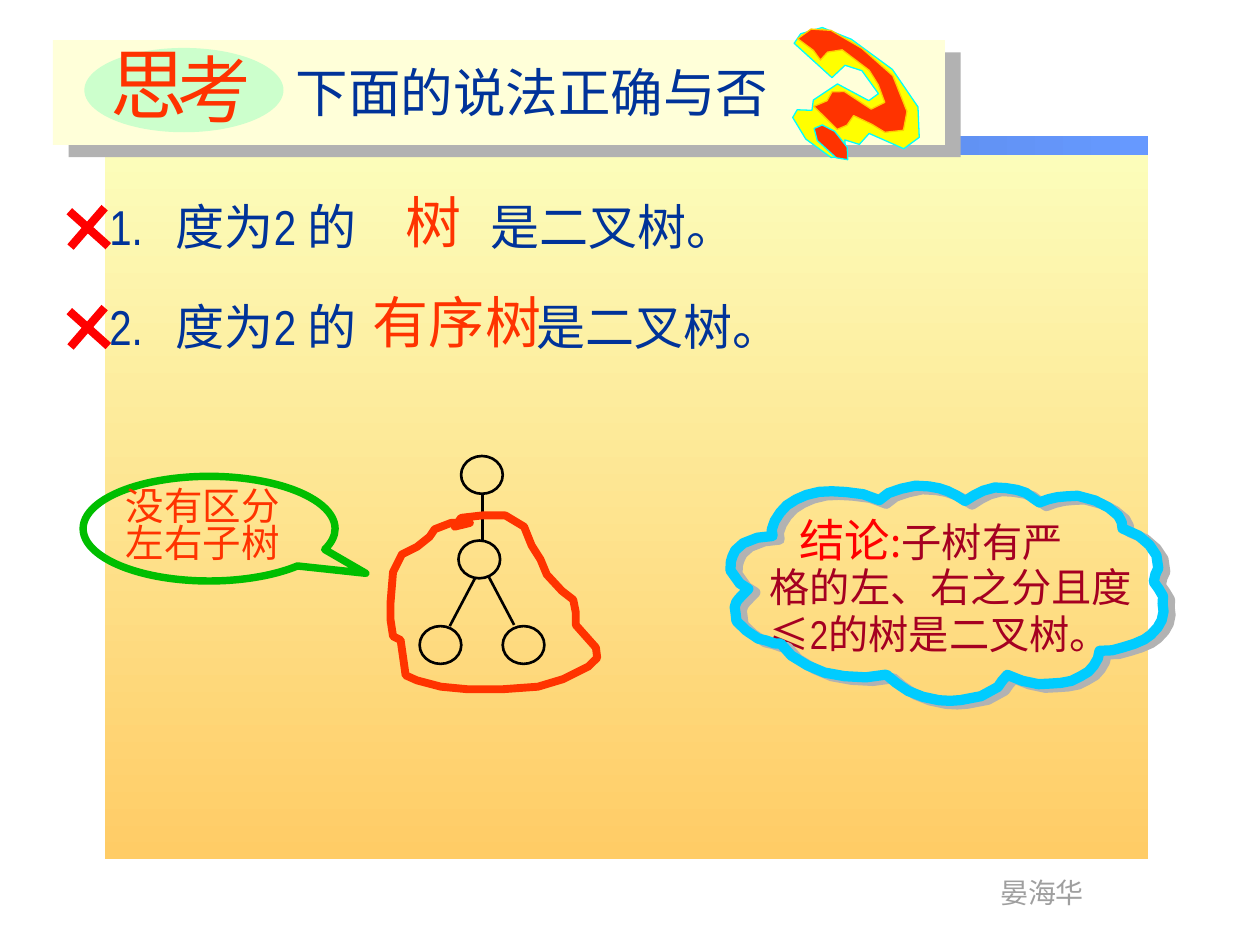
from lxml.etree import SubElement
from pptx import Presentation
from pptx.dml.color import RGBColor
from pptx.enum.shapes import MSO_CONNECTOR, MSO_SHAPE
from pptx.enum.text import MSO_ANCHOR, MSO_AUTO_SIZE, PP_ALIGN
from pptx.oxml.ns import qn
from pptx.util import Pt

SANS, NARROW = "Noto Sans CJK SC", "Arial Narrow"
RED, ORANGE, BLUE, MAROON, CYAN = "FF0000", "FF3300", "003399", "A50021", "00FFFF"
UNIT = 0.72  # outline points are hundredths of an inch

MARK_EDGE = [
    (660, 56), (674, 55), (693, 67), (688, 75), (660, 72), (647, 91), (649, 99), (638, 103),
    (637, 110), (653, 122), (677, 128), (688, 123), (682, 111), (694, 110), (698, 99),
    (728, 100), (736, 87), (726, 65), (696, 45), (657, 35), (632, 35), (618, 46), (616, 55),
    (654, 69)]
MARK_HOOK = [
    (622, 49), (637, 53), (645, 58), (648, 50), (658, 44), (684, 51), (695, 59), (705, 70),
    (697, 79), (672, 74), (663, 78), (662, 86), (654, 94), (678, 104), (684, 98), (686, 89),
    (702, 90), (714, 92), (727, 85), (724, 70), (703, 48), (672, 37), (644, 33), (629, 38)]
MARK_DOT = [
    (659, 104), (648, 103), (643, 108), (649, 116), (668, 123), (677, 121), (673, 112)]
SUBTREE_LOOP = [
    (373, 415), (358, 415), (345, 420), (341, 426), (331, 434), (319, 440), (312, 454),
    (310, 478), (310, 492), (312, 505), (318, 508), (320, 522), (322, 536), (331, 540),
    (350, 545), (371, 547), (399, 547), (427, 545), (447, 539), (467, 529), (474, 522),
    (473, 514), (457, 496), (457, 486), (455, 476), (446, 469), (434, 456), (429, 444),
    (422, 433), (416, 418), (401, 409), (383, 409), (366, 411), (361, 418)]
CLOUD = [
    (611, 433), (599, 435), (588, 440), (582, 446), (580, 451), (579, 455), (579, 462),
    (583, 467), (587, 472), (594, 476), (587, 484), (585, 487), (584, 491), (585, 496),
    (586, 502), (594, 509), (604, 515), (610, 516), (617, 518), (622, 518), (631, 527),
    (644, 534), (658, 539), (674, 541), (691, 541), (707, 538), (715, 544), (725, 550),
    (737, 554), (750, 556), (759, 556), (767, 555), (783, 551), (796, 543), (799, 538),
    (803, 533), (815, 537), (828, 539), (838, 538), (846, 537), (854, 535), (861, 531),
    (867, 527), (871, 522), (874, 516), (875, 510), (885, 509), (894, 506), (902, 503),
    (910, 499), (915, 495), (920, 489), (923, 483), (924, 476), (923, 470), (923, 464),
    (919, 458), (915, 453), (916, 447), (918, 442), (916, 432), (910, 424), (901, 417),
    (888, 412), (887, 407), (884, 402), (876, 396), (865, 391), (851, 388), (842, 389),
    (835, 390), (828, 392), (821, 395), (816, 392), (810, 388), (803, 386), (794, 385),
    (785, 385), (776, 388), (769, 392), (762, 397), (755, 393), (748, 390), (741, 388),
    (733, 387), (722, 387), (711, 390), (701, 394), (694, 400), (681, 396), (667, 395),
    (656, 395), (646, 396), (636, 399), (628, 403), (621, 408), (616, 414), (612, 421),
    (610, 428)]


def rgb(color):
    return RGBColor.from_string(color)


def add_shadow(effects, color, dist, angle):
    shadow = SubElement(effects, qn("a:outerShdw"), blurRad="0", dist=str(Pt(dist)),
                        dir=str(angle * 60000), algn="ctr", rotWithShape="0")
    SubElement(shadow, qn("a:srgbClr"), val=color)


def style(sp, fill=None, line=None, width=0.75, gradient=None, shadow=None):
    sp.shadow.inherit = False
    if gradient:
        *colors, angle = gradient
        sp.fill.gradient()
        sp.fill.gradient_angle = angle
        for stop, color in zip(sp.fill.gradient_stops, colors):
            stop.color.rgb = rgb(color)
    elif fill:
        sp.fill.solid()
        sp.fill.fore_color.rgb = rgb(fill)
    else:
        sp.fill.background()
    if line:
        sp.line.color.rgb = rgb(line)
        sp.line.width = Pt(width)
    else:
        sp.line.fill.background()
    if shadow:
        add_shadow(sp._element.spPr.find(qn("a:effectLst")), *shadow)


def add_box(s, x, y, w, h, kind=MSO_SHAPE.RECTANGLE, **look):
    sp = s.shapes.add_shape(kind, Pt(x), Pt(y), Pt(w), Pt(h))
    style(sp, **look)
    return sp


def add_outline(s, points, rotation=0, **look):
    builder = s.shapes.build_freeform(*points[0], scale=Pt(UNIT))
    builder.add_line_segments(points[1:], close=True)
    sp = builder.convert_to_shape()
    sp.rotation = rotation
    style(sp, **look)


def add_line(s, x1, y1, x2, y2, color="000000", width=1.5):
    line = s.shapes.add_connector(MSO_CONNECTOR.STRAIGHT, Pt(x1), Pt(y1), Pt(x2), Pt(y2))
    line.line.color.rgb = rgb(color)
    line.line.width = Pt(width)
    SubElement(line._element.spPr, qn("a:effectLst"))


def add_run(p, text, size=28, color=BLUE, font=SANS, shadow=False):
    r = p.add_run()
    r.text = text
    r.font.size = Pt(size)
    r.font.color.rgb = rgb(color)
    r.font.name = font
    props = r.font._element
    SubElement(props, qn("a:ea"), typeface=SANS)
    if shadow:
        effects = props.makeelement(qn("a:effectLst"))
        props.find(qn("a:solidFill")).addnext(effects)
        add_shadow(effects, "000000", 2, 45)


def add_frame(s, x, y, w, h, wrap=True, anchor=MSO_ANCHOR.TOP):
    tb = s.shapes.add_textbox(Pt(x), Pt(y), Pt(w), Pt(h))
    tf = tb.text_frame
    tf.word_wrap = wrap
    tf.auto_size = MSO_AUTO_SIZE.SHAPE_TO_FIT_TEXT
    tf.vertical_anchor = anchor
    return tf


def add_text(s, text, x, y, w, h, wrap=False, align=PP_ALIGN.LEFT, spacing=1.0, **format):
    p = add_frame(s, x, y, w, h, wrap).paragraphs[0]
    p.alignment = align
    p.line_spacing = spacing
    add_run(p, text, **format)


def add_statement(s, y, number, gap_end, key, key_x, key_w):
    """One crossed-out claim, its key word set larger in the gap."""
    tf = add_frame(s, 62.5, y, 420, 41)
    tf.margin_left = 0
    p = tf.paragraphs[0]
    tabs = SubElement(p._p.get_or_add_pPr(), qn("a:tabLst"))
    for stop in (38, gap_end):
        SubElement(tabs, qn("a:tab"), pos=str(Pt(stop)), algn="l")
    add_run(p, f"{number}.\t", font=NARROW)
    add_run(p, "度为")
    add_run(p, "2 ", font=NARROW)
    add_run(p, "的\t是二叉树。")
    add_text(s, key, key_x, y - 5, key_w, 45, align=PP_ALIGN.CENTER, size=32, color=ORANGE)
    add_line(s, 39.6, y + 12, 61.9, y + 32, RED, 4.75)
    add_line(s, 40.3, y + 32.5, 59.8, y + 10, RED, 4.75)


def add_title(s):
    add_box(s, 30.2, 23, 509.8, 59.8, fill="FFFFD9", shadow=("B2B2B2", 11.4, 38))
    add_text(s, "下面的说法正确与否", 162, 31, 347.8, 43, wrap=True, size=30)
    add_outline(s, MARK_EDGE, 22, fill="FFFF00", line=CYAN)
    add_outline(s, MARK_HOOK, 22, fill=ORANGE, line="FFCC00")
    add_outline(s, MARK_DOT, 22, fill=ORANGE, line=CYAN)
    add_box(s, 48.2, 27.4, 113.8, 48.2, MSO_SHAPE.OVAL, fill="CCFFCC")
    add_text(s, "思", 56.2, 25.2, 58.3, 51.8, spacing=0.85, size=44, color=ORANGE, font=NARROW)
    add_text(s, "考", 94.3, 21.6, 56.2, 57.6, size=42, color=ORANGE, font=NARROW, shadow=True)


def add_tree(s):
    for x, y in ((263.5, 260.6), (262, 308.9), (239.8, 357.8), (287.3, 357.8)):
        add_box(s, x, y, 23.8, 21.6, MSO_SHAPE.OVAL, line="000000", width=1.5)
    add_line(s, 275.8, 282.2, 275.8, 308.9)
    add_line(s, 271.4, 330.5, 257, 357.8)
    add_line(s, 279.4, 329.8, 293.8, 357.1)
    add_outline(s, SUBTREE_LOOP, line=ORANGE, width=4.5)


def add_callout(s):
    sp = add_box(s, 47.5, 272.2, 144, 59.8, MSO_SHAPE.OVAL_CALLOUT, line="00BE00", width=4.25)
    sp.adjustments[0], sp.adjustments[1] = 0.622, 0.427
    add_text(s, "没有区分左右子树", 64.8, 277.2, 120.2, 49.7, wrap=True, spacing=0.8,
             size=22, color=ORANGE, font=NARROW, shadow=True)


def add_conclusion(s):
    tf = add_frame(s, 432.7, 292.3, 232.6, 87.8, anchor=MSO_ANCHOR.MIDDLE)
    lines = [
        [("结论", 26, RED, SANS), (":", 23, RED, SANS), ("子树有严", 23, MAROON, SANS)],
        [("格的左、右之分且度", 23, MAROON, SANS)],
        [("≤", 23, MAROON, SANS), ("2", 23, MAROON, NARROW), ("的树是二叉树。", 23, MAROON, SANS)],
    ]
    for i, runs in enumerate(lines):
        p = tf.add_paragraph() if i else tf.paragraphs[0]
        p.line_spacing = 0.9
        for run in runs:
            add_run(p, *run)
    tf.paragraphs[0]._p.get_or_add_pPr().set("indent", str(Pt(17)))
    tf.paragraphs[2].space_before = Pt(2.5)
    add_outline(s, CLOUD, 3.1, line="00CCFF", width=5.88, shadow=("B2B2B2", 4.5, 27))


def main():
    prs = Presentation()
    prs.slide_width, prs.slide_height = Pt(720), Pt(540)
    s = prs.slides.add_slide(prs.slide_layouts[6])
    add_box(s, 59.8, 79.2, 596.2, 411.8, gradient=("FCFEBC", "FFCC66", 270))
    add_box(s, 60.5, 77.8, 595.4, 10.8, gradient=("496DB6", "6699FF", 0))
    add_text(s, "晏海华", 564.5, 496.8, 62.6, 26.6, size=16, color="9F9F9F", font=NARROW)
    add_statement(s, 108.7, 1, 218, "树", 221.8, 51.8)
    add_statement(s, 165.8, 2, 244, "有序树", 206, 110.4)
    add_title(s)
    add_tree(s)
    add_callout(s)
    add_conclusion(s)
    prs.save("out.pptx")


if __name__ == "__main__":
    main()
